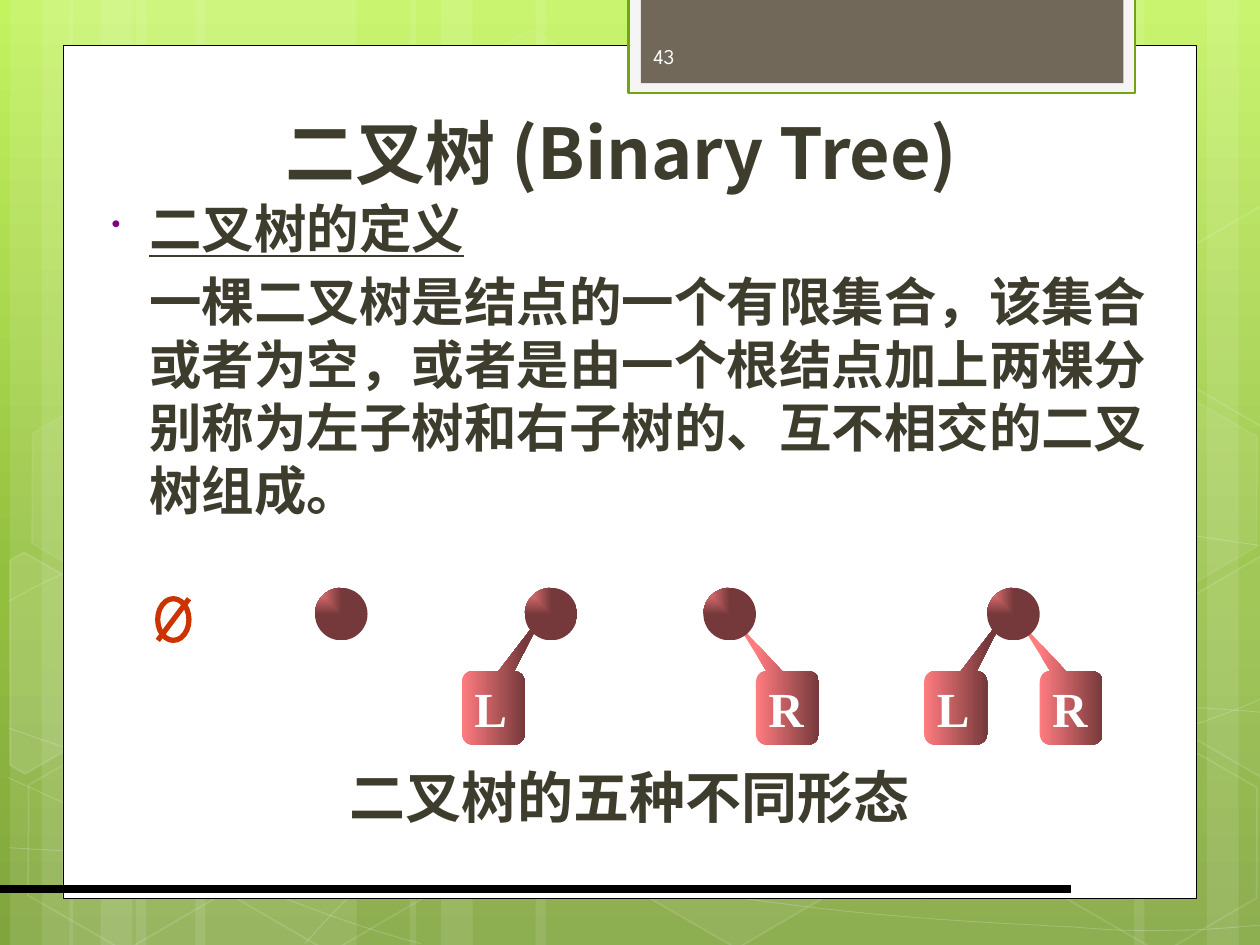
from dataclasses import dataclass
from math import cos, radians, sin
from typing import Optional

from lxml.etree import SubElement
from pptx import Presentation
from pptx.dml.color import RGBColor
from pptx.enum.shapes import MSO_CONNECTOR as Connector, MSO_SHAPE as Shape
from pptx.enum.text import MSO_ANCHOR as Anchor, PP_ALIGN as Align
from pptx.oxml.ns import qn
from pptx.util import Cm, Pt

WHITE = RGBColor(0xFF, 0xFF, 0xFF)
BLACK = RGBColor(0, 0, 0)
INK = RGBColor(0x3E, 0x3D, 0x2D)
PALE = RGBColor(0xF5, 0xF5, 0xF5)
GREEN = RGBColor(0x74, 0xA5, 0x10)
TAUPE = RGBColor(0x71, 0x68, 0x5A)
NEAR_WHITE = RGBColor(0xFE, 0xFE, 0xFE)
RED = RGBColor(0xCC, 0x33, 0x00)
SKY = [(0, "C3F35F"), (62, "93BF3F"), (100, "81A53E")]
ROSE = [(0, "FF7C80"), (100, "76393B")]
SERIF, SANS, NUMERAL = "Times New Roman", "Noto Sans CJK JP", "League Spartan"
TILT = 30


@dataclass
class Hexagon:
    left: float
    top: float
    fill_alpha: int
    line_alpha: int


@dataclass
class CutHexagon:
    """A hexagon trimmed at the page edge; the points are its tilted corners."""
    center: tuple
    fill_alpha: int
    points: list


@dataclass
class Tree:
    root: float
    left_child: Optional[float] = None
    right_child: Optional[float] = None


@dataclass
class Child:
    letter: str
    left: float
    label_width: float
    tail: tuple


BANDS = [(2.74, 4.45), (0.2, 1.27), (0.84, 2.11), (3.94, 4.45), (1.4, 1.27), (2.03, 2.11),
         (18.62, 4.45), (24.33, 1.27), (22.86, 2.11), (10.8, 7.82), (8.26, 1.27), (8.89, 2.11)]
# Each curve is a start point followed by three control points per cubic segment.
CURVES = [
    [(0.18, 17.09), (1.55, 17.17), (2.92, 17.25), (4.83, 17.22), (6.73, 17.2), (9.09, 17.15),
     (11.63, 16.89), (14.17, 16.64), (17.78, 16.15), (20.12, 15.67), (22.43, 15.19),
     (24.82, 14.43), (25.58, 14)],
    [(0.18, 12.12), (0.91, 11.71), (1.65, 11.33), (3.07, 10.95), (4.52, 10.57), (6.58, 10.01),
     (8.81, 9.83), (11.07, 9.65), (13.82, 9.63), (16.61, 9.83), (19.41, 10.03),
     (24.05, 10.82), (25.58, 11.02)],
    [(0.15, 15.67), (3.23, 17.07), (6.27, 18.47), (8.48, 19.02)],
    [(0.18, 14.68), (0.97, 14.96), (1.78, 15.24), (3.25, 15.65), (4.72, 16.03), (6.93, 16.66),
     (9.07, 17.09), (11.18, 17.53), (13.84, 17.98), (15.95, 18.24), (18.06, 18.52),
     (20.32, 18.62), (21.67, 18.69), (22.99, 18.8), (23.34, 18.75), (24, 18.75),
     (24.66, 18.72), (25.12, 18.67), (25.58, 18.64)],
    [(6.15, 19.02), (6.6, 18.52), (7.06, 18.01), (7.67, 17.55), (8.28, 17.09), (9.14, 16.59),
     (9.86, 16.23), (10.57, 15.88), (11, 15.72), (11.94, 15.47), (12.88, 15.21),
     (14.55, 14.86), (15.44, 14.68), (16.36, 14.5), (16.48, 14.5), (17.27, 14.45),
     (18.06, 14.38), (19.3, 14.3), (20.17, 14.27), (21.06, 14.25), (22.5, 14.27),
     (22.5, 14.27), (23.07, 14.27), (23.64, 14.27), (24.21, 14.27), (24.66, 14.3),
     (25.1, 14.33), (25.32, 14.35), (25.55, 14.38), (25.48, 14.35), (25.55, 14.38)],
]
HEXAGONS = [Hexagon(8.48, 0.91, 4, 8), Hexagon(12.62, 14.96, 6, 12), Hexagon(0.28, 15.01, 0, 12),
            Hexagon(0.36, 7.92, 7, 8), Hexagon(4.42, 15.04, 0, 12), Hexagon(19.13, 11.51, 10, 12),
            Hexagon(21.18, 15.06, 0, 12), Hexagon(21.18, 7.98, 7, 8)]
CUT_HEXAGONS = [
    CutHexagon((0.91, 13.59), 10, [(0.2, 11.3), (0.48, 11.13), (2.44, 12.24), (2.41, 14.48),
                                   (0.51, 15.6), (0.2, 15.42)]),
    CutHexagon((25.02, 13.21), 4, [(23.52, 12.32), (25.43, 11.2), (25.63, 11.33),
                                   (25.63, 15.57), (25.45, 15.67), (23.52, 14.55)]),
    CutHexagon((25.02, 6.12), 0, [(23.52, 5.26), (25.43, 4.14), (25.65, 4.27),
                                  (25.63, 8.51), (25.45, 8.61), (23.52, 7.49)]),
]
TREES = [Tree(6.35), Tree(10.58, left_child=9.31), Tree(14.18, right_child=15.24),
         Tree(19.9, left_child=18.63, right_child=20.96)]


def style(shape, fill=None, line=None, weight=1.0, fill_alpha=100, line_alpha=100):
    """Set fill, outline and opacity; None means no fill or no outline."""
    shape.shadow.inherit = False
    if fill is None or fill_alpha == 0:
        shape.fill.background()
    else:
        shape.fill.solid()
        shape.fill.fore_color.rgb = fill
        set_alpha(shape, "a:solidFill", fill_alpha)
    if line is None:
        shape.line.fill.background()
    else:
        shape.line.color.rgb = line
        shape.line.width = Pt(weight)
        set_alpha(shape, "a:ln/a:solidFill", line_alpha)


def set_alpha(shape, place: str, percent: int):
    if percent < 100:
        color = shape.element.spPr.xpath(place + "/a:srgbClr")[0]
        SubElement(color, qn("a:alpha")).set("val", str(percent * 1000))


def paint_gradient(fill, element, stops, angle=0, from_corner=False):
    """Fill with the stops, along an angle or outward from the top left corner."""
    fill.gradient()
    fill.gradient_angle = angle
    gradient = next(element.iter(qn("a:gradFill")))
    stop_list = gradient.find(qn("a:gsLst"))
    stop_list.clear()
    for position, color in stops:
        stop = SubElement(stop_list, qn("a:gs"), pos=str(position * 1000))
        SubElement(stop, qn("a:srgbClr"), val=color)
    if from_corner:
        gradient.remove(gradient.find(qn("a:lin")))
        route = SubElement(gradient, qn("a:path"), path="rect")
        SubElement(route, qn("a:fillToRect"), l="0", t="0", r="100000", b="100000")


def add_shape(page, kind, left, top, width, height, **look):
    shape = page.shapes.add_shape(kind, Cm(left), Cm(top), Cm(width), Cm(height))
    style(shape, **look)
    return shape


def add_outline(page, points, closed, **look):
    start, *rest = [(Cm(x), Cm(y)) for x, y in points]
    builder = page.shapes.build_freeform(*start)
    builder.add_line_segments(rest, close=closed)
    shape = builder.convert_to_shape()
    style(shape, **look)
    return shape


def bend(shape):
    """Turn every three straight segments into one cubic curve."""
    route = next(shape.element.iter(qn("a:path")))
    segments = route.findall(qn("a:lnTo"))
    for first in range(0, len(segments), 3):
        curve = SubElement(route, qn("a:cubicBezTo"))
        for segment in segments[first:first + 3]:
            curve.append(segment[0])
            route.remove(segment)


def upright(item: CutHexagon):
    """Corners of the hexagon before it is tilted about its center."""
    center_x, center_y = item.center
    c, s = cos(radians(TILT)), sin(radians(TILT))
    offsets = [(x - center_x, y - center_y) for x, y in item.points]
    return [(center_x + x * c + y * s, center_y - x * s + y * c) for x, y in offsets]


def add_line(page, start, end, color, weight):
    line = page.shapes.add_connector(Connector.STRAIGHT, *map(Cm, start + end))
    line.line.color.rgb = color
    line.line.width = Pt(weight)
    SubElement(line.element.spPr, qn("a:effectLst"))


def add_box(page, left, top, width, height, anchor=Anchor.TOP, wrap=True):
    frame = page.shapes.add_textbox(Cm(left), Cm(top), Cm(width), Cm(height)).text_frame
    frame.word_wrap = wrap
    frame.vertical_anchor = anchor
    return frame


def write(para, text, size, font=SERIF, color=INK, bold=True, underline=None, align=None):
    para.alignment = align
    span = para.add_run()
    span.text = text
    span.font.size, span.font.name = Pt(size), font
    span.font.bold, span.font.underline = bold, underline
    span.font.color.rgb = color
    SubElement(span.font._element, qn("a:ea"), typeface=SANS)


def draw_backdrop(page):
    paint_gradient(page.background.fill, page.element, SKY, angle=270)
    for left, width in BANDS:
        add_shape(page, Shape.RECTANGLE, left, 0, width, 19.05, fill=WHITE, fill_alpha=10)
    for curve in CURVES:
        bend(add_outline(page, curve, False, line=WHITE, weight=0.5, line_alpha=20))
    for item in HEXAGONS:
        hexagon = add_shape(page, Shape.HEXAGON, item.left, item.top, 4.45, 3.86, fill=WHITE,
                            line=WHITE, fill_alpha=item.fill_alpha, line_alpha=item.line_alpha)
        hexagon.adjustments[0] = 0.285
        hexagon.rotation = TILT
    for item in CUT_HEXAGONS:
        add_outline(page, upright(item), True, fill=WHITE, line=WHITE,
                    fill_alpha=item.fill_alpha, line_alpha=12).rotation = TILT
    add_shape(page, Shape.RECTANGLE, 1.27, 0.91, 22.86, 17.2, fill=WHITE, line=BLACK, weight=0.5)
    add_shape(page, Shape.RECTANGLE, 12.67, -0.05, 10.21, 1.93, fill=PALE, line=GREEN, weight=1.25)
    add_shape(page, Shape.RECTANGLE, 12.92, -0.05, 9.73, 1.73, fill=TAUPE)
    add_line(page, (0, 17.93), (21.59, 17.93), BLACK, 4.5)


def draw_definition(page):
    frame = add_box(page, 1.79, 3.82, 22.1, 7.11)
    heading, body = frame.paragraphs[0], frame.add_paragraph()
    for para, indent in ((heading, -0.76), (body, 0)):
        para.line_spacing = Pt(36)
        properties = para._p.get_or_add_pPr()
        properties.set("marL", str(Cm(0.97)))
        properties.set("indent", str(Cm(indent)))
    body.space_before = Pt(6)
    properties = heading._p.get_or_add_pPr()
    SubElement(SubElement(properties, qn("a:buClr")), qn("a:srgbClr"), val="800080")
    SubElement(properties, qn("a:buSzPct"), val="50000")
    SubElement(properties, qn("a:buChar"), char="•")
    write(heading, "二叉树的定义", 30, underline=True)
    write(body, "一棵二叉树是结点的一个有限集合，该集合或者为空，或者是由一个根结点加上两棵"
                "分别称为左子树和右子树的、互不相交的二叉树组成。", 30)


def draw_child(page, child: Child):
    callout = add_shape(page, Shape.ROUNDED_RECTANGULAR_CALLOUT, child.left, 13.53, 1.27, 1.48)
    for index, value in enumerate(child.tail):
        callout.adjustments[index] = value
    paint_gradient(callout.fill, callout.element, ROSE)
    frame = add_box(page, child.left, 13.55, child.label_width, 1.45, Anchor.MIDDLE, wrap=False)
    write(frame.paragraphs[0], child.letter, 28, color=WHITE, align=Align.CENTER)


def draw_tree(page, tree: Tree):
    if tree.left_child is not None:
        draw_child(page, Child("L", tree.left_child, 1.17, (0.82, -1.32, 0.17)))
    if tree.right_child is not None:
        draw_child(page, Child("R", tree.right_child, 1.2, (-0.83, -1.19, 0.17)))
    ball = add_shape(page, Shape.OVAL, tree.root, 11.85, 1.06, 1.06)
    paint_gradient(ball.fill, ball.element, ROSE, from_corner=True)


def main():
    deck = Presentation()
    deck.slide_width, deck.slide_height = Cm(25.4), Cm(19.05)
    page = deck.slides.add_slide(deck.slide_layouts[5])
    draw_backdrop(page)

    title = page.shapes.title
    title.left, title.top, title.width, title.height = Cm(1.1), Cm(1.23), Cm(22.86), Cm(2.79)
    title.text_frame.vertical_anchor = Anchor.BOTTOM
    write(title.text_frame.paragraphs[0], "二叉树 (Binary Tree)", 40, SANS, align=Align.CENTER)
    page.shapes._spTree.append(title.element)

    draw_definition(page)
    number = add_box(page, 12.92, 0.62, 3.71, 1.02, Anchor.MIDDLE)
    write(number.paragraphs[0], "43", 12, NUMERAL, NEAR_WHITE, bold=False)
    caption = add_box(page, 3.81, 15.24, 17.78, 1.6)
    write(caption.paragraphs[0], "二叉树的五种不同形态", 32, align=Align.CENTER)

    add_shape(page, Shape.OVAL, 3.18, 12.07, 0.63, 0.84, line=RED, weight=3)
    add_line(page, (3.81, 12.07), (3.18, 12.91), RED, 3)
    for tree in TREES:
        draw_tree(page, tree)
    deck.save("out.pptx")


if __name__ == "__main__":
    main()
